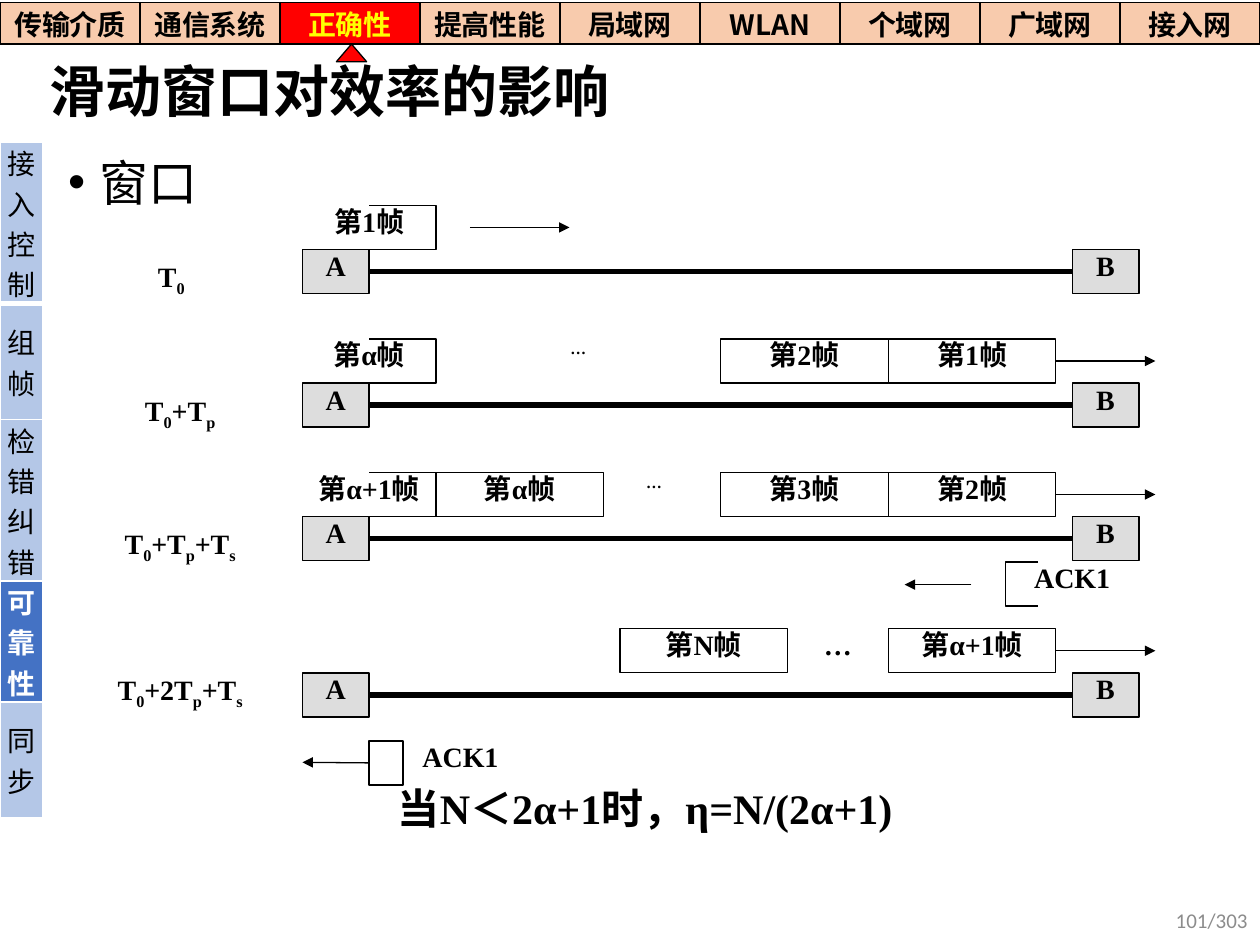
from dataclasses import dataclass
from typing import NamedTuple, Optional

from lxml import etree
from pptx import Presentation
from pptx import util as u
from pptx.dml.color import RGBColor
from pptx.enum import shapes, text
from pptx.oxml.ns import qn


@dataclass(frozen=True)
class Theme:
    cjk: str = "Noto Sans CJK SC"
    serif: str = "Times New Roman"
    sans: str = "Calibri"
    black: str = "000000"
    white: str = "FFFFFF"
    node: str = "DDDDDD"
    tab: str = "F8CBAD"
    tab_on: str = "FF0000"
    tab_on_text: str = "FFFF00"
    side: str = "B4C7E7"
    side_on: str = "4472C4"
    number: str = "8C8C8C"
    title_size: int = 32
    list_size: int = 28
    formula_size: int = 24
    label_size: int = 16
    number_size: int = 12
    dots_size: int = 9
    thin: float = 0.75
    thick: float = 3


class Box(NamedTuple):
    left: float
    top: float
    width: float
    height: float

    def emu(self) -> list:
        return [u.Inches(value) for value in self]


class Frame(NamedTuple):
    label: str
    left: float
    width: float = 1.33


class Stage(NamedTuple):
    time: str  # every second part between bars is a subscript
    time_box: Box
    top: float
    frames: list
    entering: Optional[str] = None
    dots: Optional[tuple] = None  # left, width, size
    sends: bool = True


THEME = Theme()
HEIGHT, NODE_WIDTH, NODE_A, NODE_B = 0.35, 0.53, 2.4, 8.51
ENTRY = NODE_A + NODE_WIDTH
TABS = ["传输介质", "通信系统", "正确性", "提高性能", "局域网", "WLAN", "个域网", "广域网", "接入网"]
SIDE = ["接入控制", "组帧", "检错纠错", "可靠性", "同步"]
STAGES = [
    Stage("T|0", Box(0.83, 2.05, 1.06, HEIGHT), 1.98, [], "第1帧", sends=False),
    Stage("T|0|+T|p", Box(0.83, 3.11, 1.2, HEIGHT), 3.04,
          [Frame("第2帧", 5.72), Frame("第1帧", 7.05)], "第α帧", (3.99, 1.2, THEME.dots_size)),
    Stage("T|0|+T|p|+T|s", Box(0.83, 4.17, 1.2, HEIGHT), 4.1,
          [Frame("第α帧", 3.46), Frame("第3帧", 5.72), Frame("第2帧", 7.05)],
          "第α+1帧", (4.79, 0.8, THEME.dots_size)),
    Stage("T|0|+2T|p|+T|s", Box(0.83, 5.33, 1.2, HEIGHT), 5.34,
          [Frame("第N帧", 4.92), Frame("第α+1帧", 7.05)], None, (6.25, 0.8, THEME.label_size)),
]


def apply(target, formats: dict) -> None:
    for name, value in formats.items():
        setattr(target, name, value)


def style_span(span, size: float, face: str, color: str, bold: bool = False) -> None:
    apply(span.font, {"size": u.Pt(size), "name": face, "bold": bold})
    span.font.color.rgb = RGBColor.from_string(color)
    latin = span._r.get_or_add_rPr().find(qn("a:latin"))
    east = etree.Element(qn("a:ea"), typeface=THEME.cjk)
    latin.addnext(east)


def write_label(frame, content: str, size: float = THEME.label_size) -> None:
    """Centred serif label; odd parts between bars are subscripts."""
    apply(frame, {"word_wrap": True, "vertical_anchor": text.MSO_ANCHOR.TOP,
                  "margin_left": u.Inches(0.02), "margin_right": u.Inches(0.02),
                  "margin_top": u.Inches(0.01), "margin_bottom": u.Inches(0.01)})
    para = frame.paragraphs[0]
    apply(para, {"alignment": text.PP_ALIGN.CENTER, "line_spacing": 0.96,
                 "space_before": u.Pt(0), "space_after": u.Pt(1.5)})
    for index, part in enumerate(content.split("|")):
        span = para.add_run()
        span.text = part
        style_span(span, size, THEME.serif, THEME.black, True)
        if index % 2:
            span._r.get_or_add_rPr().set("baseline", "-25000")


def add_label(page, box: Box, content: str, size: float = THEME.label_size):
    label = page.shapes.add_textbox(*box.emu())
    write_label(label.text_frame, content, size)
    return label


def outline(shape, fill: Optional[str] = None) -> None:
    shape.shadow.inherit = False
    if fill:
        shape.fill.solid()
        shape.fill.fore_color.rgb = RGBColor.from_string(fill)
    else:
        shape.fill.background()
    shape.line.color.rgb = RGBColor.from_string(THEME.black)
    shape.line.width = u.Pt(THEME.thin)


def add_box(page, box: Box, content: str = "", fill: Optional[str] = None,
            kind=shapes.MSO_SHAPE.RECTANGLE):
    shape = page.shapes.add_shape(kind, *box.emu())
    outline(shape, fill)
    if content:
        write_label(shape.text_frame, content)
    return shape


def add_bracket(page, open_x: float, closed_x: float, top: float) -> None:
    """Frame with one side left open."""
    points = [(u.Inches(x), u.Inches(y)) for x, y in
              [(open_x, top), (closed_x, top), (closed_x, top + HEIGHT), (open_x, top + HEIGHT)]]
    builder = page.shapes.build_freeform(*points[0])
    builder.add_line_segments(points[1:], close=False)
    outline(builder.convert_to_shape())


def add_line(page, start: float, end: float, y: float, width: float = THEME.thin,
             arrow: bool = True):
    line = page.shapes.add_connector(shapes.MSO_CONNECTOR.STRAIGHT, u.Inches(start),
                                     u.Inches(y), u.Inches(end), u.Inches(y))
    line.line.color.rgb = RGBColor.from_string(THEME.black)
    line.line.width = u.Pt(width)
    if arrow:
        etree.SubElement(line.line._get_or_add_ln(), qn("a:tailEnd"), type="triangle")
    etree.SubElement(line._element.spPr, qn("a:effectLst"))
    return line


def style_cell(cell, content: str, fill: str, color: str, bold: bool, borders: dict) -> None:
    apply(cell, {"margin_left": 0, "margin_right": 0, "margin_top": 0, "margin_bottom": 0,
                 "vertical_anchor": text.MSO_ANCHOR.MIDDLE})
    properties = cell._tc.get_or_add_tcPr()
    for side, (line_color, width) in borders.items():
        line = etree.SubElement(properties, qn(f"a:ln{side}"), w=str(u.Pt(width)))
        solid = etree.SubElement(line, qn("a:solidFill"))
        etree.SubElement(solid, qn("a:srgbClr"), val=line_color)
    cell.fill.solid()
    cell.fill.fore_color.rgb = RGBColor.from_string(fill)
    para = cell.text_frame.paragraphs[0]
    para.alignment = text.PP_ALIGN.CENTER
    span = para.add_run()
    span.text = content
    style_span(span, THEME.label_size, THEME.cjk, color, bold)


def add_grid(page, rows: int, columns: int, box: Box):
    table = page.shapes.add_table(rows, columns, *box.emu()).table
    apply(table, {"first_row": False, "horz_banding": False})
    return table


def draw_stage(page, stage: Stage) -> None:
    frame_top = stage.top - HEIGHT
    middle = frame_top + HEIGHT / 2
    add_label(page, stage.time_box, stage.time)
    sender, receiver = (add_box(page, Box(left, stage.top, NODE_WIDTH, HEIGHT), name, THEME.node)
                        for name, left in (("A", NODE_A), ("B", NODE_B)))
    link = add_line(page, ENTRY, NODE_B, stage.top + HEIGHT / 2, THEME.thick, arrow=False)
    link.begin_connect(sender, 3)
    link.end_connect(receiver, 1)
    last = None
    for frame in stage.frames:
        last = add_box(page, Box(frame.left, frame_top, frame.width, HEIGHT), frame.label)
    if stage.entering:
        add_bracket(page, ENTRY, ENTRY + NODE_WIDTH, frame_top)
        add_label(page, Box(NODE_A, frame_top, 2 * NODE_WIDTH, HEIGHT), stage.entering)
    if stage.dots:
        left, width, size = stage.dots
        add_label(page, Box(left, frame_top, width, HEIGHT), "…", size)
    if stage.sends:
        add_line(page, 8.38, 9.17, middle).begin_connect(last, 3)
    else:
        add_line(page, 3.73, 4.52, middle)


def fill_placeholder(holder, box: Box, content: str, size: float, bold: bool):
    apply(holder, dict(zip(("left", "top", "width", "height"), box.emu())))
    holder.text_frame.auto_size = text.MSO_AUTO_SIZE.NONE
    para = holder.text_frame.paragraphs[0]
    apply(para, {"alignment": text.PP_ALIGN.LEFT, "space_before": u.Pt(0)})
    span = para.add_run()
    span.text = content
    style_span(span, size, THEME.cjk, THEME.black, bold)
    return para


def main() -> None:
    deck = Presentation()
    apply(deck, {"slide_width": u.Inches(10), "slide_height": u.Inches(7.5)})
    page = deck.slides.add_slide(deck.slide_layouts[1])

    # Title and list
    title = fill_placeholder(page.shapes.title, Box(0.29, 0.38, 9.47, 0.74),
                             "滑动窗口对效率的影响", THEME.title_size, True)
    title.line_spacing = 0.9
    item = fill_placeholder(page.placeholders[1], Box(0.44, 1.16, 9.31, 5.95),
                            "窗口", THEME.list_size, False)
    apply_indent = item._p.get_or_add_pPr()
    for name, length in (("marL", 0.25), ("indent", -0.25)):
        apply_indent.set(name, str(u.Inches(length)))

    # Side navigation
    side = add_grid(page, len(SIDE), 1, Box(0, 1.13, 0.34, 4.6))
    for index, name in enumerate(SIDE):
        on = name == "可靠性"
        borders = {key: (THEME.white, 1) for key in "LRTB"}
        if index < 2:
            borders["B" if index == 0 else "T"] = (THEME.white, 3)
        style_cell(side.cell(index, 0), name, THEME.side_on if on else THEME.side,
                   THEME.white if on else THEME.black, on, borders)

    # Top navigation with its marker
    tabs = add_grid(page, 1, len(TABS), Box(0, 0.02, 10, 0.33))
    for index, name in enumerate(TABS):
        on = name == "正确性"
        style_cell(tabs.cell(0, index), name, THEME.tab_on if on else THEME.tab,
                   THEME.tab_on_text if on else THEME.black, True,
                   {key: (THEME.black, 1) for key in "LRTB"})
    add_box(page, Box(2.67, 0.35, 0.24, 0.14), fill=THEME.tab_on,
            kind=shapes.MSO_SHAPE.FLOWCHART_EXTRACT)

    # Transmission stages
    for stage in STAGES:
        draw_stage(page, stage)

    # Acknowledgement leaving B and arriving at A
    add_bracket(page, 8.24, 7.98, 4.46)
    add_label(page, Box(7.98, 4.46, 1.06, HEIGHT), "ACK1")
    add_line(page, 7.71, 7.18, 4.64)
    ack = add_box(page, Box(ENTRY, 5.88, 0.27, HEIGHT))
    add_label(page, Box(3.19, 5.88, 0.93, HEIGHT), "ACK1")
    add_line(page, ENTRY, NODE_A, 6.05).begin_connect(ack, 1)

    # Efficiency formula and page number
    formula = add_label(page, Box(1.87, 6.23, 7.18, HEIGHT), "当N＜2α+1时，η=N/(2α+1)",
                        THEME.formula_size)
    formula.text_frame.margin_right = u.Inches(0.7)
    number = page.shapes.add_textbox(*Box(7.75, 7.1, 2.25, 0.4).emu())
    apply(number.text_frame, {"word_wrap": True, "vertical_anchor": text.MSO_ANCHOR.MIDDLE})
    para = number.text_frame.paragraphs[0]
    para.alignment = text.PP_ALIGN.RIGHT
    span = para.add_run()
    span.text = "101/303"
    style_span(span, THEME.number_size, THEME.sans, THEME.number)

    deck.save("out.pptx")


if __name__ == "__main__":
    main()
